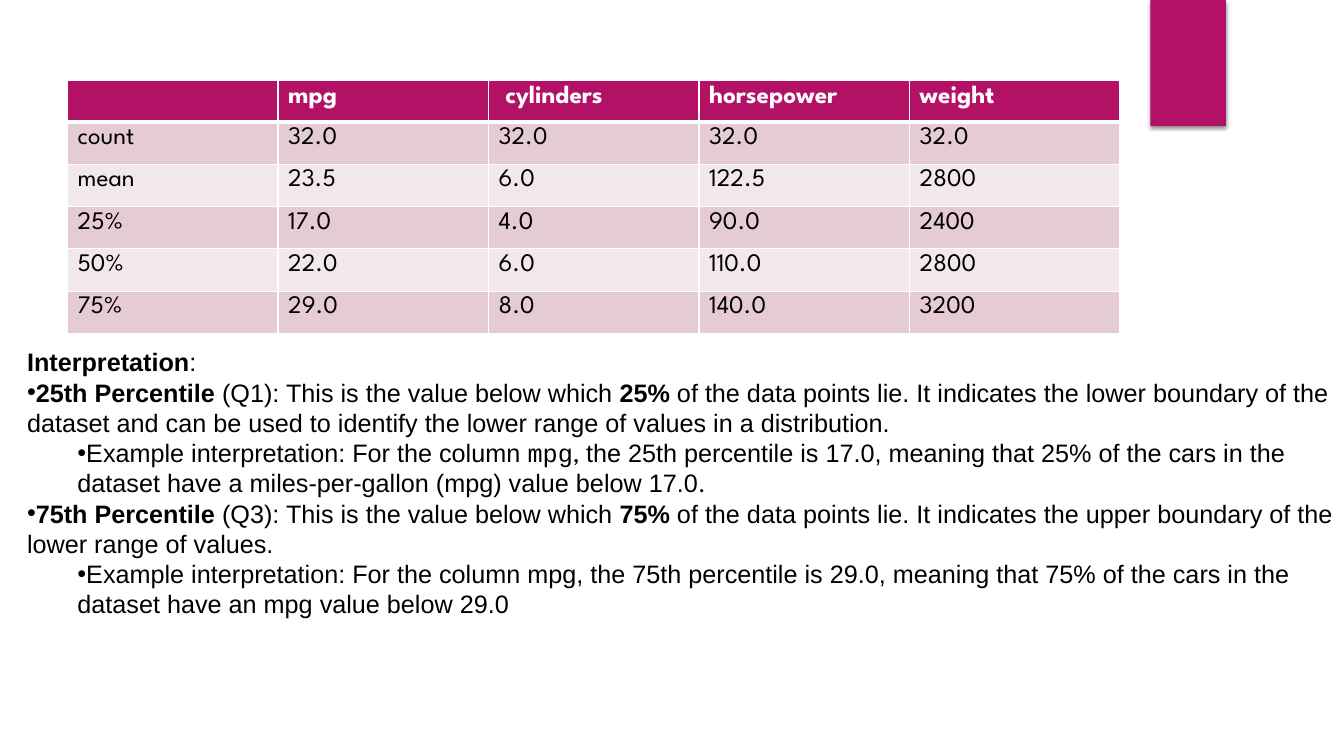
from lxml import etree
from pptx import Presentation
from pptx.dml.color import RGBColor
from pptx.enum.shapes import MSO_SHAPE
from pptx.enum.text import MSO_ANCHOR
from pptx.oxml.ns import qn
from pptx.util import Inches, Pt

RECTANGLE = MSO_SHAPE.RECTANGLE
TOP = MSO_ANCHOR.TOP
COLORS = {
    "accent": "B31166",
    "band_dark": "E5CCD3",
    "band_light": "F2E7EA",
    "white": "FFFFFF",
    "black": "000000",
}
BODY_FONT, TABLE_FONT, CODE_FONT = "Arial", "League Spartan", "Courier New"
FONT_SIZE = Pt(18)

STATISTICS = [
    ["", "mpg", " cylinders", "horsepower", "weight"],
    ["count", "32.0", "32.0", "32.0", "32.0"],
    ["mean", "23.5", "6.0", "122.5", "2800"],
    ["25%", "17.0", "4.0", "90.0", "2400"],
    ["50%", "22.0", "6.0", "110.0", "2800"],
    ["75%", "29.0", "8.0", "140.0", "3200"],
]

PLAIN, BOLD = (BODY_FONT, False), (BODY_FONT, True)
CODE, DISPLAY = (CODE_FONT, False), (TABLE_FONT, False)
INTERPRETATION = [
    (None, [("Interpretation", BOLD), (":", PLAIN)]),
    (0, [
        ("25th Percentile", BOLD),
        (" (Q1): This is the value below which ", PLAIN),
        ("25%", BOLD),
        (" of the data points lie. It indicates the lower boundary of the dataset "
         "and can be used to identify the lower range of values in a distribution.", PLAIN),
    ]),
    (1, [
        ("Example interpretation: For the column ", PLAIN),
        ("mpg", CODE),
        (", ", DISPLAY),
        ("the 25th percentile is 17.0, meaning that 25% of the cars in the dataset "
         "have a miles-per-gallon (mpg) value below 17.0", PLAIN),
        (".", DISPLAY),
    ]),
    (0, [
        ("75th Percentile", BOLD),
        (" (Q3): This is the value below which ", PLAIN),
        ("75%", BOLD),
        (" of the data points lie. It indicates the upper boundary of the lower "
         "range of values.", PLAIN),
    ]),
    (1, [
        ("Example interpretation: For the column mpg, the 75th percentile is 29.0, "
         "meaning that 75% of the cars in the dataset have an mpg value below 29.0", PLAIN),
    ]),
]


def rgb(name):
    return RGBColor.from_string(COLORS[name])


def add_solid_color(parent, name):
    fill = etree.SubElement(parent, qn("a:solidFill"))
    etree.SubElement(fill, qn("a:srgbClr"), val=COLORS[name])


def add_shadow(shape, blur, distance, opacity):
    shape.shadow.inherit = False
    effects = shape._element.spPr.find(qn("a:effectLst"))
    shadow = etree.SubElement(
        effects, qn("a:outerShdw"), blurRad=str(Pt(blur)), dist=str(Pt(distance)),
        dir=str(90 * 60000), algn="ctr", rotWithShape="0")
    color = etree.SubElement(shadow, qn("a:srgbClr"), val=COLORS["black"])
    etree.SubElement(color, qn("a:alpha"), val=str(opacity * 1000))


def add_accent_block(slide):
    block = slide.shapes.add_shape(
        RECTANGLE, Inches(11.41), 0, Inches(0.75), Inches(1.25))
    block.fill.solid()
    block.fill.fore_color.rgb = rgb("accent")
    block.line.fill.background()
    add_shadow(block, blur=3, distance=2, opacity=45)


def set_borders(cell, top, bottom):
    properties = cell._tc.get_or_add_tcPr()
    widths = {"a:lnL": 1, "a:lnR": 1, "a:lnT": top, "a:lnB": bottom}
    for index, (tag, width) in enumerate(widths.items()):
        border = etree.Element(qn(tag), w=str(Pt(width)))
        add_solid_color(border, "white")
        properties.insert(index, border)


def style_cell(cell, text, row_index):
    is_header = row_index == 0
    band = "band_dark" if row_index % 2 else "band_light"
    cell.text = text
    cell.fill.solid()
    cell.fill.fore_color.rgb = rgb("accent" if is_header else band)
    set_borders(cell, top=3 if row_index == 1 else 1, bottom=3 if is_header else 1)
    font = cell.text_frame.paragraphs[0].font
    font.name, font.size, font.bold = TABLE_FONT, FONT_SIZE, is_header
    font.color.rgb = rgb("white" if is_header else "black")


def add_statistics_table(slide):
    table = slide.shapes.add_table(
        len(STATISTICS), len(STATISTICS[0]),
        Inches(0.67), Inches(0.8), Inches(10.44), Inches(2.5)).table
    for row_index, values in enumerate(STATISTICS):
        table.rows[row_index].height = Inches(0.42 if row_index else 0.41)
        for column_index, text in enumerate(values):
            style_cell(table.cell(row_index, column_index), text, row_index)


def set_bullet(paragraph, level):
    paragraph.level = level
    properties = paragraph._p.get_or_add_pPr()
    properties.set("marL", str(Inches(0.5 * level)))
    properties.set("indent", "0")
    etree.SubElement(properties, qn("a:buFont"), typeface=BODY_FONT)
    etree.SubElement(properties, qn("a:buChar"), char="•")


def add_interpretation(slide):
    frame = slide.shapes.add_textbox(
        Inches(0.17), Inches(3.39), Inches(13.16), Inches(3.13)).text_frame
    frame.word_wrap = True
    frame.vertical_anchor = TOP
    for index, (level, runs) in enumerate(INTERPRETATION):
        paragraph = frame.add_paragraph() if index else frame.paragraphs[0]
        if level is not None:
            set_bullet(paragraph, level)
        paragraph.font.size = FONT_SIZE
        for text, (font_name, bold) in runs:
            run = paragraph.add_run()
            run.text = text
            run.font.name, run.font.size, run.font.bold = font_name, FONT_SIZE, bold
            run.font.color.rgb = rgb("black")


def main():
    presentation = Presentation()
    presentation.slide_width = Inches(13.33)
    presentation.slide_height = Inches(7.5)
    slide = presentation.slides.add_slide(presentation.slide_layouts[6])
    add_accent_block(slide)
    add_statistics_table(slide)
    add_interpretation(slide)
    presentation.save("out.pptx")


if __name__ == "__main__":
    main()
